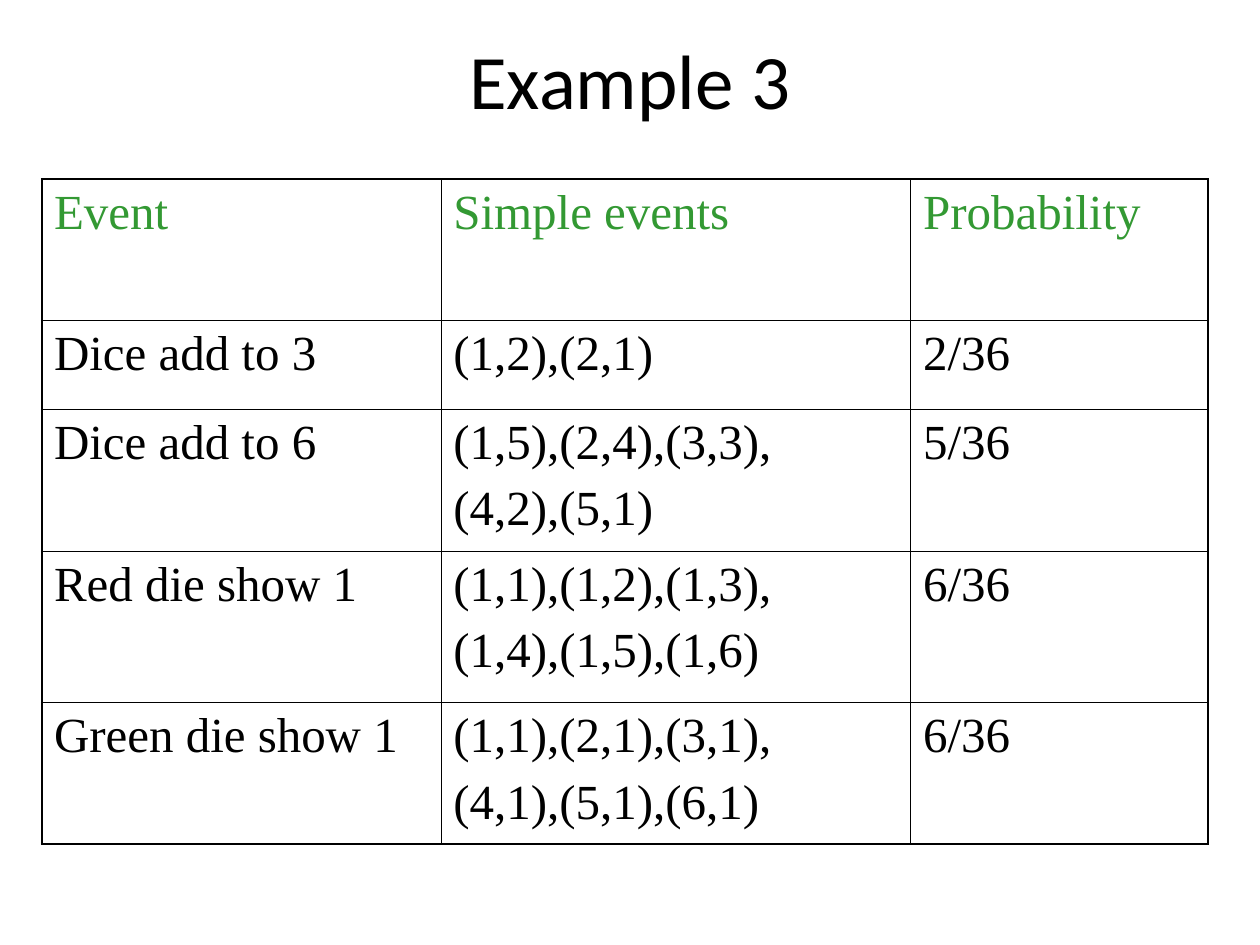
from lxml import etree
from pptx import Presentation
from pptx.dml.color import RGBColor
from pptx.enum.text import MSO_ANCHOR, PP_ALIGN
from pptx.oxml.ns import qn
from pptx.util import Cm, Pt

CENTER = PP_ALIGN.CENTER
MIDDLE = MSO_ANCHOR.MIDDLE

COLORS = {"text": "000000", "head": "339933", "line": "000000"}
OUTER, INNER = 1.08, 0.45  # border widths in points

COLS = [8.05, 9.47, 5.99]
HEIGHTS = [2.84, 1.8, 2.86, 3.05, 2.86]
ROWS = [
    ("Event", "Simple events", "Probability"),
    ("Dice add to 3", "(1,2),(2,1)", "2/36"),
    ("Dice add to 6", "(1,5),(2,4),(3,3),\n(4,2),(5,1)", "5/36"),
    ("Red die show 1", "(1,1),(1,2),(1,3),\n(1,4),(1,5),(1,6)", "6/36"),
    ("Green die show 1", "(1,1),(2,1),(3,1),\n(4,1),(5,1),(6,1)", "6/36"),
]


def add_run(para, text, font, size, color):
    run = para.add_run()
    run.text = text
    run.font.name = font
    run.font.size = Pt(size)
    run.font.color.rgb = RGBColor.from_string(COLORS[color])


def add_title(slide, text):
    title = slide.shapes.title
    title.left, title.top = Cm(1.9), Cm(0)
    title.width, title.height = Cm(21.6), Cm(3.18)
    frame = title.text_frame
    frame.vertical_anchor = MIDDLE
    para = frame.paragraphs[0]
    para.alignment = CENTER
    add_run(para, text, "Calibri", 44, "text")


def add_border(cell, side, width):
    props = cell._tc.get_or_add_tcPr()
    line = etree.SubElement(props, qn("a:ln" + side), w=str(Pt(width)))
    fill = etree.SubElement(line, qn("a:solidFill"))
    etree.SubElement(fill, qn("a:srgbClr"), val=COLORS["line"])


def fill_cell(cell, text, color):
    cell.margin_left = cell.margin_right = Cm(0.25)
    cell.margin_top = cell.margin_bottom = Cm(0.13)
    frame = cell.text_frame
    for i, part in enumerate(text.split("\n")):
        para = frame.add_paragraph() if i else frame.paragraphs[0]
        if i:
            para.space_before = Pt(7)
        add_run(para, part, "Times New Roman", 28, color)


def add_grid(slide):
    frame = slide.shapes.add_table(
        len(ROWS), len(COLS), Cm(0.84), Cm(3.61),
        Cm(sum(COLS)), Cm(sum(HEIGHTS)))
    table = frame.table
    table.first_row = table.horz_banding = False
    for col, width in zip(table.columns, COLS):
        col.width = Cm(width)
    for row, height in zip(table.rows, HEIGHTS):
        row.height = Cm(height)

    for r, row in enumerate(ROWS):
        for c, text in enumerate(row):
            cell = table.cell(r, c)
            fill_cell(cell, text, "text" if r else "head")
            # Outer edges are heavier than inner ones
            edges = {"L": c == 0, "R": c == len(COLS) - 1,
                     "T": r == 0, "B": r == len(ROWS) - 1}
            for side, outer in edges.items():
                add_border(cell, side, OUTER if outer else INNER)
            cell.fill.background()


def main():
    deck = Presentation()
    deck.slide_width, deck.slide_height = Cm(25.4), Cm(19.05)
    slide = deck.slides.add_slide(deck.slide_layouts[5])  # title only
    add_title(slide, "Example 3")
    add_grid(slide)
    deck.save("out.pptx")


if __name__ == "__main__":
    main()
